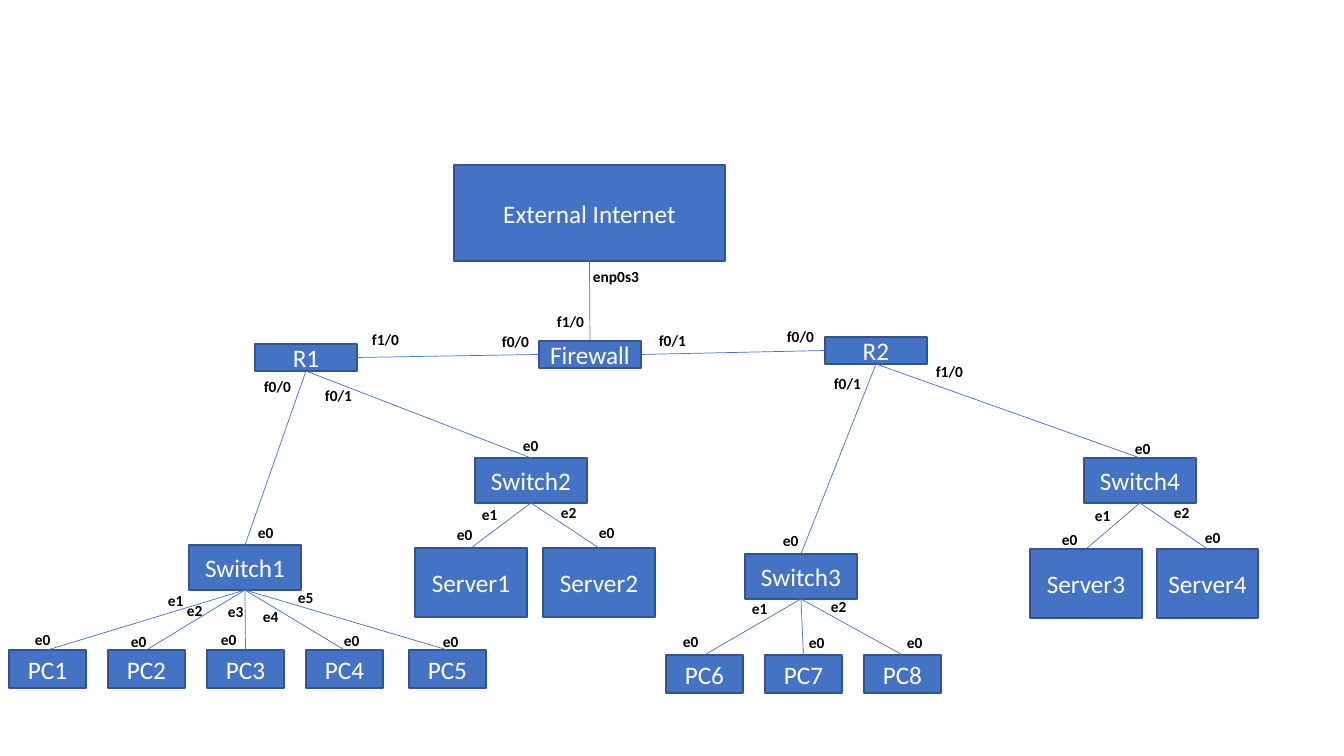
from lxml import etree
from pptx import Presentation, util as u
from pptx.dml.color import RGBColor
from pptx.enum import shapes, text
from pptx.oxml.ns import qn

PX = 914400 / 100.8
COLORS = {"fill": "4472C4", "edge": "325491", "light": "FFFFFF", "dark": "000000"}


def px(*values):
    return [u.Emu(round(v * PX)) for v in values]


def write(tf, content, size=18, color="light", bold=False,
          align=text.PP_ALIGN.CENTER, anchor=text.MSO_ANCHOR.MIDDLE):
    tf.word_wrap = True
    tf.vertical_anchor = anchor
    p = tf.paragraphs[0]
    p.alignment = align
    r = p.add_run()
    r.text = content
    r.font.name = "Calibri"
    r.font.size = u.Pt(size)
    r.font.bold = bold
    r.font.color.rgb = RGBColor.from_string(COLORS[color])


prs = Presentation()
prs.slide_width, prs.slide_height = px(1344, 756)
s = prs.slides.add_slide(prs.slide_layouts[6])

SWITCH, SERVER, ROUTER, PC = (112, 45), (112, 69), (102, 27), (77, 38)
PC_STEP = 99
devices = {
    "External Internet": (454, 165, 271, 96),
    "Firewall": (539, 341, *ROUTER),
    "R1": (255, 344, *ROUTER),
    "R2": (825, 337, *ROUTER),
    "Switch1": (189, 545, *SWITCH),
    "Switch2": (475, 458, *SWITCH),
    "Switch3": (745, 554, *SWITCH),
    "Switch4": (1084, 458, *SWITCH),
    "Server1": (415, 548, *SERVER),
    "Server2": (543, 548, *SERVER),
    "Server3": (1030, 549, *SERVER),
    "Server4": (1157, 549, 101, 69),
    "PC5": (409, 650, *PC),
}
for i in range(4):
    devices[f"PC{i + 1}"] = (9 + i * PC_STEP, 650, *PC)
for i in range(3):
    devices[f"PC{i + 6}"] = (666 + i * PC_STEP, 655, *PC)

boxes = {}
for name, place in devices.items():
    sp = s.shapes.add_shape(shapes.MSO_SHAPE.RECTANGLE, *px(*place))
    sp.shadow.inherit = False
    sp.fill.solid()
    sp.fill.fore_color.rgb = RGBColor.from_string(COLORS["fill"])
    sp.line.color.rgb = RGBColor.from_string(COLORS["edge"])
    sp.line.width = u.Pt(1)
    write(sp.text_frame, name)
    boxes[name] = sp

TOP, LEFT, BOTTOM, RIGHT = range(4)
children = {
    "External Internet": ["Firewall"],
    "R1": ["Switch1", "Switch2"],
    "R2": ["Switch3", "Switch4"],
    "Switch1": ["PC1", "PC2", "PC3", "PC4", "PC5"],
    "Switch2": ["Server1", "Server2"],
    "Switch3": ["PC6", "PC7", "PC8"],
    "Switch4": ["Server3", "Server4"],
}
links = [(parent, BOTTOM, child, TOP)
         for parent, group in children.items() for child in group]
links += [("Firewall", LEFT, "R1", RIGHT), ("Firewall", RIGHT, "R2", LEFT)]
for start, start_site, end, end_site in links:
    link = s.shapes.add_connector(shapes.MSO_CONNECTOR.STRAIGHT, 0, 0, 0, 0)
    link.begin_connect(boxes[start], start_site)
    link.end_connect(boxes[end], end_site)
    link.line.color.rgb = RGBColor.from_string(COLORS["fill"])
    link.line.width = u.Pt(0.5)
    etree.SubElement(link._element.spPr, qn("a:effectLst"))

ports = {
    "enp0s3": [(583, 262)],
    "f0/0": [(254, 372), (492, 327), (777, 322)],
    "f0/1": [(315, 381), (649, 326), (824, 369)],
    "f1/0": [(547, 307), (362, 325), (926, 357)],
    "e0": [(25, 625), (121, 627), (211, 625), (334, 626), (433, 627),
           (673, 627), (799, 628), (897, 628),
           (447, 520), (589, 518), (1052, 525), (1195, 523),
           (248, 518), (513, 431), (773, 526), (1125, 434)],
    "e1": [(158, 586), (472, 500), (742, 594), (1085, 501)],
    "e2": [(177, 596), (551, 498), (821, 592), (1164, 498)],
    "e3": [(218, 597)],
    "e4": [(253, 602)],
    "e5": [(288, 583)],
}
for port, places in ports.items():
    for x, y in places:
        label = s.shapes.add_textbox(*px(x, y, 77, 29))
        write(label.text_frame, port, size=11, color="dark", bold=True,
              align=text.PP_ALIGN.LEFT, anchor=text.MSO_ANCHOR.TOP)

prs.save("out.pptx")
